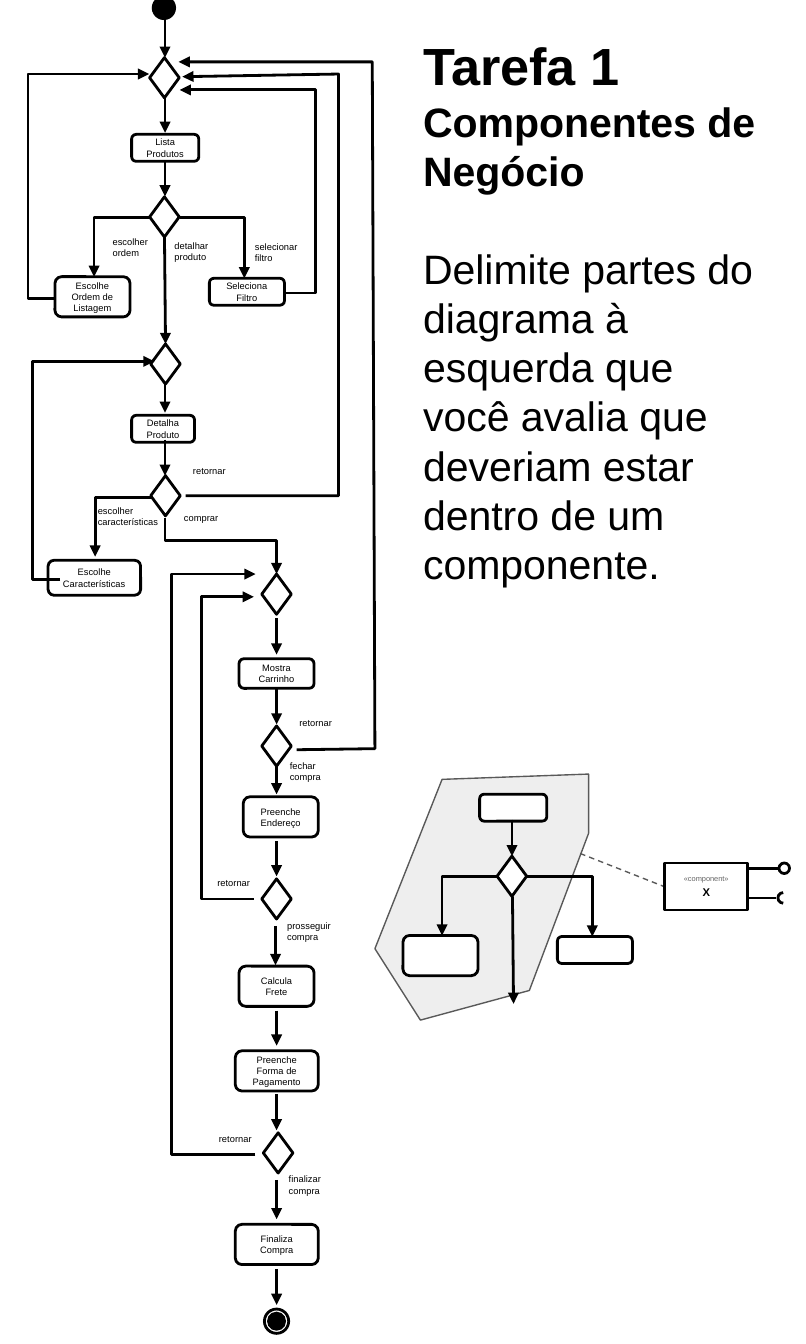
import pptx
import pptx.util
import pptx.dml.color
import pptx.enum.dml
import pptx.enum.shapes
import pptx.enum.text
import lxml.etree

Cm, Pt = pptx.util.Cm, pptx.util.Pt
SHAPE = pptx.enum.shapes.MSO_SHAPE
ALIGN = pptx.enum.text.PP_ALIGN
ANCHOR = pptx.enum.text.MSO_ANCHOR
STRAIGHT = pptx.enum.shapes.MSO_CONNECTOR.STRAIGHT
color = pptx.dml.color.RGBColor.from_string
DRAWING = "{http://schemas.openxmlformats.org/drawingml/2006/main}"
BLACK, WHITE, GREY = "000000", "FFFFFF", "595959"


def style(shape, fill=None, line=BLACK, width=1.5):
    shape.shadow.inherit = False
    if fill:
        shape.fill.solid()
        shape.fill.fore_color.rgb = color(fill)
    else:
        shape.fill.background()
    if line:
        shape.line.color.rgb = color(line)
        shape.line.width = Pt(width)
    else:
        shape.line.fill.background()


def write(shape, rows, align=ALIGN.LEFT, anchor=ANCHOR.TOP, inset=(0.25, 0.25)):
    """Each row is text, size, bold, color and space before."""
    frame = shape.text_frame
    frame.word_wrap = True
    frame.vertical_anchor = anchor
    frame.margin_left = frame.margin_right = Cm(inset[0])
    frame.margin_top = frame.margin_bottom = Cm(inset[1])
    for index, (text, size, bold, ink, space) in enumerate(rows):
        paragraph = frame.paragraphs[0] if index == 0 else frame.add_paragraph()
        paragraph.alignment = align
        paragraph.space_before = Pt(space)
        run = paragraph.add_run()
        run.text = text
        run.font.name = "Arial"
        run.font.size = Pt(size)
        run.font.bold = bold
        run.font.color.rgb = color(ink)


presentation = pptx.Presentation()
presentation.slide_width, presentation.slide_height = Cm(15.24), Cm(25.4)
slide = presentation.slides.add_slide(presentation.slide_layouts[6])
shapes = slide.shapes

# Example region that becomes a component
region = [(8.36, 14.73), (7.09, 17.93), (7.95, 19.28),
          (10.01, 18.72), (11.13, 15.75), (11.13, 14.63)]
corners = [(Cm(x), Cm(y)) for x, y in region]
builder = shapes.build_freeform(*corners[0], scale=1.0)
builder.add_line_segments(corners[1:], close=True)
style(builder.convert_to_shape(), "EEEEEE", GREY, 0.75)

# Activities: lines of text, left, top, width, height
activities = [
    ("Lista\nProdutos", 2.49, 2.54, 1.27, 0.51),
    ("Escolhe\nOrdem de\nListagem", 1.04, 5.23, 1.42, 0.76),
    ("Seleciona\nFiltro", 3.96, 5.26, 1.42, 0.51),
    ("Detalha\nProduto", 2.49, 7.85, 1.19, 0.51),
    ("Escolhe Características", 0.91, 10.59, 1.75, 0.66),
    ("Mostra\nCarrinho", 4.52, 12.45, 1.42, 0.56),
    ("Preenche\nEndereço", 4.6, 15.06, 1.42, 0.76),
    ("Calcula\nFrete", 4.52, 18.26, 1.42, 0.76),
    ("Preenche Forma de\nPagamento", 4.45, 19.86, 1.57, 0.76),
    ("Finaliza\nCompra", 4.45, 23.14, 1.57, 0.76),
    ("", 9.07, 15.01, 1.27, 0.51),
    ("", 7.62, 17.68, 1.42, 0.76),
    ("", 10.54, 17.7, 1.42, 0.51),
]
for text, left, top, width, height in activities:
    activity = shapes.add_shape(SHAPE.ROUNDED_RECTANGLE, Cm(left), Cm(top), Cm(width), Cm(height))
    style(activity, WHITE)
    if text:
        write(activity, [(row, 5, False, BLACK, 0) for row in text.split("\n")],
              ALIGN.CENTER, ANCHOR.MIDDLE)

# Decisions, by centre
decisions = [(3.11, 1.47), (3.11, 4.1), (3.13, 6.88), (3.13, 9.37), (5.23, 11.23),
             (5.23, 14.1), (5.23, 16.99), (5.26, 21.79), (9.68, 16.56)]
for x, y in decisions:
    decision = shapes.add_shape(SHAPE.FLOWCHART_DECISION, Cm(x - 0.28), Cm(y - 0.38), Cm(0.56), Cm(0.76))
    style(decision, WHITE)

# Start and end nodes, and the provided interface
circles = [(2.87, -0.08, 0.46, BLACK, None), (5, 24.74, 0.46, WHITE, BLACK),
           (5.05, 24.79, 0.36, BLACK, None), (14.73, 16.31, 0.2, WHITE, BLACK)]
for left, top, size, fill, line in circles:
    circle = shapes.add_shape(SHAPE.OVAL, Cm(left), Cm(top), Cm(size), Cm(size))
    style(circle, fill, line)

# Straight lines: start, end, arrowhead, color, width
downward = [(3.12, 0.33, 1.09), (3.12, 1.85, 2.51), (3.12, 3.05, 3.71), (3.12, 7.26, 7.8),
            (3.12, 8.31, 8.99), (5.23, 11.68, 12.37), (5.23, 13.03, 13.69),
            (5.23, 14.48, 15.01), (5.23, 15.9, 16.56), (5.21, 17.5, 18.24),
            (5.23, 19.1, 19.76), (5.23, 20.68, 21.36), (5.23, 22.3, 23.04),
            (5.23, 23.98, 24.66), (9.68, 15.49, 16.18)]
lines = [((x, top), (x, bottom), True, BLACK, 1.5) for x, top, bottom in downward]
lines += [
    ((3.11, 4.47), (3.13, 6.5), True, BLACK, 1.5),
    ((9.69, 16.94), (9.71, 18.97), True, BLACK, 1.5),
    ((14.17, 16.41), (14.73, 16.41), False, BLACK, 1.5),
    ((14.17, 16.97), (14.68, 16.97), False, BLACK, 1.5),
    ((10.97, 16.13), (12.57, 16.76), False, GREY, 0.75),
]
arrows = []
for (x1, y1), (x2, y2), arrow, ink, width in lines:
    connector = shapes.add_connector(STRAIGHT, Cm(x1), Cm(y1), Cm(x2), Cm(y2))
    connector.line.color.rgb = color(ink)
    connector.line.width = Pt(width)
    if ink == GREY:
        connector.line.dash_style = pptx.enum.dml.MSO_LINE.DASH
    lxml.etree.SubElement(connector._element.spPr, DRAWING + "effectLst")
    if arrow:
        arrows.append(connector)

# Bent flows
flows = [
    [(2.82, 4.11), (1.78, 4.11), (1.78, 5.23)],
    [(3.4, 4.11), (4.62, 4.11), (4.62, 5.26)],
    [(5.41, 5.54), (5.97, 5.54), (5.97, 1.7), (3.4, 1.7)],
    [(1.04, 5.64), (0.53, 5.64), (0.53, 1.4), (2.82, 1.4)],
    [(3.51, 9.37), (6.4, 9.37), (6.4, 1.4), (3.45, 1.45)],
    [(1.14, 10.95), (0.61, 10.95), (0.61, 6.83), (2.92, 6.83)],
    [(2.87, 9.4), (1.8, 9.4), (1.8, 10.52)],
    [(3.12, 9.8), (3.12, 10.21), (5.23, 10.21), (5.23, 10.85)],
    [(5.61, 14.17), (7.09, 14.15), (7.04, 1.17), (3.38, 1.17)],
    [(4.8, 16.99), (3.81, 16.99), (3.81, 11.28), (4.8, 11.28)],
    [(4.83, 21.82), (3.25, 21.82), (3.25, 10.85), (4.83, 10.85)],
    [(9.4, 16.56), (8.36, 16.56), (8.36, 17.68)],
    [(9.96, 16.56), (11.2, 16.56), (11.2, 17.7)],
]
for flow in flows:
    points = [(Cm(x), Cm(y)) for x, y in flow]
    builder = shapes.build_freeform(*points[0], scale=1.0)
    builder.add_line_segments(points[1:], close=False)
    bent = builder.convert_to_shape()
    style(bent)
    arrows.append(bent)

# Arrowheads
for arrow in arrows:
    lxml.etree.SubElement(arrow.line._get_or_add_ln(), DRAWING + "tailEnd", type="triangle")

# Flow labels
labels = [
    ("escolher\nordem", 1.88, 4.25), ("detalhar\nproduto", 3.05, 4.32),
    ("selecionar\nfiltro", 4.57, 4.34), ("retornar", 3.4, 8.69),
    ("escolher\ncaracterísticas", 1.6, 9.34), ("comprar", 3.23, 9.58),
    ("retornar", 5.41, 13.44), ("fechar\ncompra", 5.23, 14.15),
    ("retornar", 3.86, 16.48), ("prosseguir\ncompra", 5.18, 17.17),
    ("retornar", 3.89, 21.31), ("finalizar\ncompra", 5.21, 21.97),
]
for text, left, top in labels:
    label = shapes.add_textbox(Cm(left), Cm(top), Cm(1.75), Cm(0.81))
    write(label, [(row, 5, False, BLACK, 0) for row in text.split("\n")])

# Component with its required interface
component = shapes.add_shape(SHAPE.RECTANGLE, Cm(12.57), Cm(16.31), Cm(1.57), Cm(0.89))
style(component, WHITE)
write(component, [("«component»", 4, False, "666666", 0), ("X", 6, True, BLACK, 1)],
      ALIGN.CENTER, ANCHOR.MIDDLE, (0.28, 0.15))
socket = shapes.add_shape(SHAPE.ARC, Cm(14.71), Cm(16.87), Cm(0.2), Cm(0.2))
socket.adjustments[0], socket.adjustments[1] = 54, 162
style(socket)

# Task statement
statement = shapes.add_textbox(Cm(7.75), Cm(0.38), Cm(6.99), Cm(11.3))
write(statement, [
    ("Tarefa 1", 28, True, BLACK, 0),
    ("Componentes de Negócio", 22, True, BLACK, 0),
    ("Delimite partes do diagrama à esquerda que você avalia que deveriam estar "
     "dentro de um componente.", 22, False, BLACK, 26),
])

presentation.save("out.pptx")
